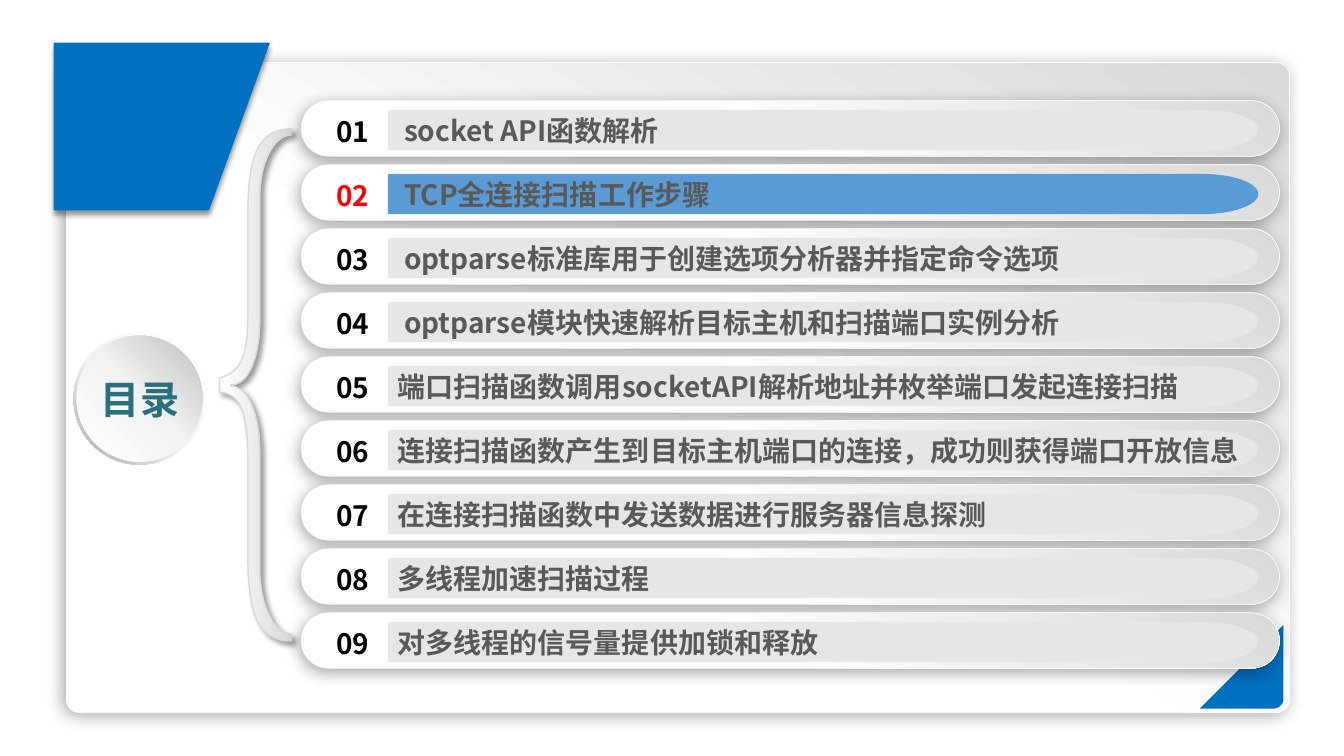
"""Build the contents slide: nine numbered topics gathered by a brace."""
from lxml import etree
from pptx import Presentation
from pptx.dml.color import RGBColor
from pptx.enum.shapes import MSO_SHAPE
from pptx.enum.text import MSO_ANCHOR, MSO_AUTO_SIZE, PP_ALIGN
from pptx.oxml.ns import qn
from pptx.util import Inches, Pt

ROUNDED, OVAL, DONUT = MSO_SHAPE.ROUNDED_RECTANGLE, MSO_SHAPE.OVAL, MSO_SHAPE.DONUT
LEFT, CENTER = PP_ALIGN.LEFT, PP_ALIGN.CENTER
MIDDLE, GROW = MSO_ANCHOR.MIDDLE, MSO_AUTO_SIZE.SHAPE_TO_FIT_TEXT

FONT = "Noto Sans CJK SC"
BLACK, WHITE = RGBColor(0, 0, 0), RGBColor(255, 255, 255)
RED, BLUE = RGBColor(255, 0, 0), RGBColor(0x00, 0x70, 0xC0)
TEAL, TEXT_GREY = RGBColor(0x2B, 0x6F, 0x7D), RGBColor(0x59, 0x59, 0x59)
BAND_GREY, BAND_BLUE = RGBColor(0xE7, 0xE6, 0xE6), RGBColor(0x5B, 0x9B, 0xD5)
PALE, SILVER = RGBColor(0xF2, 0xF2, 0xF2), RGBColor(0xD9, 0xD9, 0xD9)
MID_GREY, DARK_GREY = RGBColor(0xBF, 0xBF, 0xBF), RGBColor(0xA6, 0xA6, 0xA6)

HEADING = "目录"
TOPICS = [
    " socket API函数解析",
    " TCP全连接扫描工作步骤",
    " optparse标准库用于创建选项分析器并指定命令选项",
    " optparse模块快速解析目标主机和扫描端口实例分析",
    "端口扫描函数调用socketAPI解析地址并枚举端口发起连接扫描",
    "连接扫描函数产生到目标主机端口的连接，成功则获得端口开放信息",
    "在连接扫描函数中发送数据进行服务器信息探测",
    "多线程加速扫描过程",
    "对多线程的信号量提供加锁和释放",
]
CURRENT = 2

FIRST_TOP, LAST_TOP = 1.0, 6.08
PITCH = (LAST_TOP - FIRST_TOP) / (len(TOPICS) - 1)

PANEL_GRADIENT = (300, [(45, WHITE), (100, SILVER)])
RIM_GRADIENT = (135, [(0, WHITE), (55, PALE), (100, DARK_GREY)])
DISC_GRADIENT = (315, [(0, WHITE), (51, PALE), (100, MID_GREY)])
BRACE_GRADIENT = (0, [(0, WHITE), (100, SILVER)])
PANEL_SHADOW = (34, 12, 3, 135)
FLAG_SHADOW = (40, 4, 3, 90)
BRACE_SHADOW = (40, 4, 3, 45)

CORNER = [(12.74, 6.2), (12.74, 6.93), (12.74, 6.98, 12.7, 7.03, 12.64, 7.03), (11.91, 7.03)]
FLAG = [(2.67, 0.43), (0.54, 0.43), (0.54, 2.08), (2.07, 2.08)]
BRACE = [
    (2.89, 1.28), (2.89, 1.34),
    (2.73, 1.34, 2.59, 1.59, 2.58, 1.91), (2.58, 3.17),
    (2.58, 3.47, 2.5, 3.82, 2.29, 3.82), (2.29, 3.83),
    (2.49, 3.83, 2.58, 4.18, 2.58, 4.47), (2.58, 5.72),
    (2.6, 6.04, 2.73, 6.29, 2.89, 6.29), (2.89, 6.36),
    (2.74, 6.36, 2.63, 6.3, 2.56, 6.17),
    (2.49, 6.04, 2.46, 5.81, 2.46, 5.49), (2.46, 4.52),
    (2.46, 4.34, 2.44, 4.19, 2.41, 4.08),
    (2.37, 3.97, 2.3, 3.9, 2.18, 3.89), (2.18, 3.75),
    (2.29, 3.72, 2.36, 3.66, 2.4, 3.57),
    (2.44, 3.48, 2.46, 3.33, 2.46, 3.12), (2.46, 2.16),
    (2.46, 1.83, 2.49, 1.6, 2.56, 1.47),
    (2.63, 1.34, 2.74, 1.28, 2.89, 1.28),
]


def band_outline(top):
    """Give the outline of a topic band with an elliptical right end."""
    left, bend, right, middle, bottom = 3.85, 11.93, 12.49, top + 0.2, top + 0.4
    return [(left, top), (bend, top),
            (12.24, top, right, top + 0.09, right, middle),
            (right, top + 0.31, 12.24, bottom, bend, bottom), (left, bottom)]


def flatten(outline, steps=12):
    """Turn two-number points and six-number Bezier segments into points."""
    points = []
    for segment in outline:
        if len(segment) == 2:
            points.append(segment)
            continue
        start, first, second, end = points[-1], segment[:2], segment[2:4], segment[4:]
        for step in range(1, steps + 1):
            t = step / steps
            weights = ((1 - t) ** 3, 3 * t * (1 - t) ** 2, 3 * t * t * (1 - t), t ** 3)
            points.append(tuple(
                sum(w * p[axis] for w, p in zip(weights, (start, first, second, end)))
                for axis in (0, 1)))
    return points


def paint(shape, fill, line=None, shadow=None):
    """Set fill (colour or gradient), line (colour, width) and shadow."""
    properties = shape._element.spPr
    if isinstance(fill, RGBColor):
        shape.fill.solid()
        shape.fill.fore_color.rgb = fill
    else:
        angle, stops = fill
        shape.fill.gradient()
        shape.fill.gradient_angle = (360 - angle) % 360
        stop_list = properties.find(".//" + qn("a:gsLst"))
        for old_stop in list(stop_list):
            stop_list.remove(old_stop)
        for position, color in stops:
            stop = etree.SubElement(stop_list, qn("a:gs"), pos=str(position * 1000))
            etree.SubElement(stop, qn("a:srgbClr"), val=str(color))
    if line:
        shape.line.color.rgb, shape.line.width = line[0], Pt(line[1])
    else:
        shape.line.fill.background()
    shape.shadow.inherit = False
    if shadow:
        alpha, blur, distance, direction = shadow
        outer = etree.SubElement(
            properties.find(qn("a:effectLst")), qn("a:outerShdw"),
            blurRad=str(Pt(blur)), dist=str(Pt(distance)),
            dir=str(direction * 60000), algn="ctr", rotWithShape="0")
        tint = etree.SubElement(outer, qn("a:srgbClr"), val=str(BLACK))
        etree.SubElement(tint, qn("a:alpha"), val=str(alpha * 1000))


def add_preset(slide, kind, box, adjustment, *style):
    shape = slide.shapes.add_shape(kind, *map(Inches, box))
    if adjustment is not None:
        shape.adjustments[0] = adjustment
    paint(shape, *style)


def add_outline(slide, outline, *style):
    points = [tuple(map(Inches, point)) for point in flatten(outline)]
    builder = slide.shapes.build_freeform(*points[0])
    builder.add_line_segments(points[1:], close=True)
    shape = builder.convert_to_shape()
    paint(shape, *style)
    return shape


def write(shape, text, size, color, align=LEFT, **frame_format):
    """Put one bold line of text in a shape."""
    frame = shape.text_frame
    for attribute, value in {"word_wrap": True, **frame_format}.items():
        setattr(frame, attribute, value)
    paragraph = frame.paragraphs[0]
    paragraph.alignment = align
    run = paragraph.add_run()
    run.text = text
    for attribute, value in {"name": FONT, "size": Pt(size), "bold": True}.items():
        setattr(run.font, attribute, value)
    run.font.color.rgb = color
    etree.SubElement(run.font._element, qn("a:ea"), typeface=FONT)


def add_label(slide, box, *content, **frame_format):
    label = slide.shapes.add_textbox(*map(Inches, box))
    write(label, *content, auto_size=GROW, **frame_format)


def add_topic(slide, number, topic):
    top = FIRST_TOP + (number - 1) * PITCH
    is_current = number == CURRENT
    add_preset(slide, ROUNDED, (2.99, top, 9.71, 0.55), 0.5,
               PANEL_GRADIENT, (WHITE, 0.5), PANEL_SHADOW)
    band = add_outline(slide, band_outline(top + 0.09), BAND_BLUE if is_current else BAND_GREY)
    write(band, topic, 20, TEXT_GREY, vertical_anchor=MIDDLE, margin_right=0)
    add_label(slide, (3.24, top + 0.09, 1.06, 0.44), f"{number:02d}", 20,
              RED if is_current else BLACK)


def main():
    deck = Presentation()
    deck.slide_width, deck.slide_height = Inches(13.34), Inches(7.5)
    slide = deck.slides.add_slide(deck.slide_layouts[6])
    add_preset(slide, ROUNDED, (0.66, 0.62, 12.14, 6.45), 0.02,
               PANEL_GRADIENT, (WHITE, 0.5), PANEL_SHADOW)
    add_outline(slide, CORNER, BLUE)
    add_outline(slide, FLAG, BLUE, (BLUE, 1), FLAG_SHADOW)
    add_preset(slide, DONUT, (0.73, 3.3, 1.31, 1.31), 0.05, RIM_GRADIENT)
    add_preset(slide, OVAL, (0.76, 3.33, 1.25, 1.25), None, DISC_GRADIENT)
    add_label(slide, (0.7, 3.72, 1.38, 0.47), HEADING, 28, TEAL, CENTER,
              margin_left=0, margin_top=0, margin_right=0, margin_bottom=0)
    add_outline(slide, BRACE, BRACE_GRADIENT, (SILVER, 1), BRACE_SHADOW)
    for number, topic in enumerate(TOPICS, 1):
        add_topic(slide, number, topic)
    deck.save("out.pptx")


if __name__ == "__main__":
    main()
